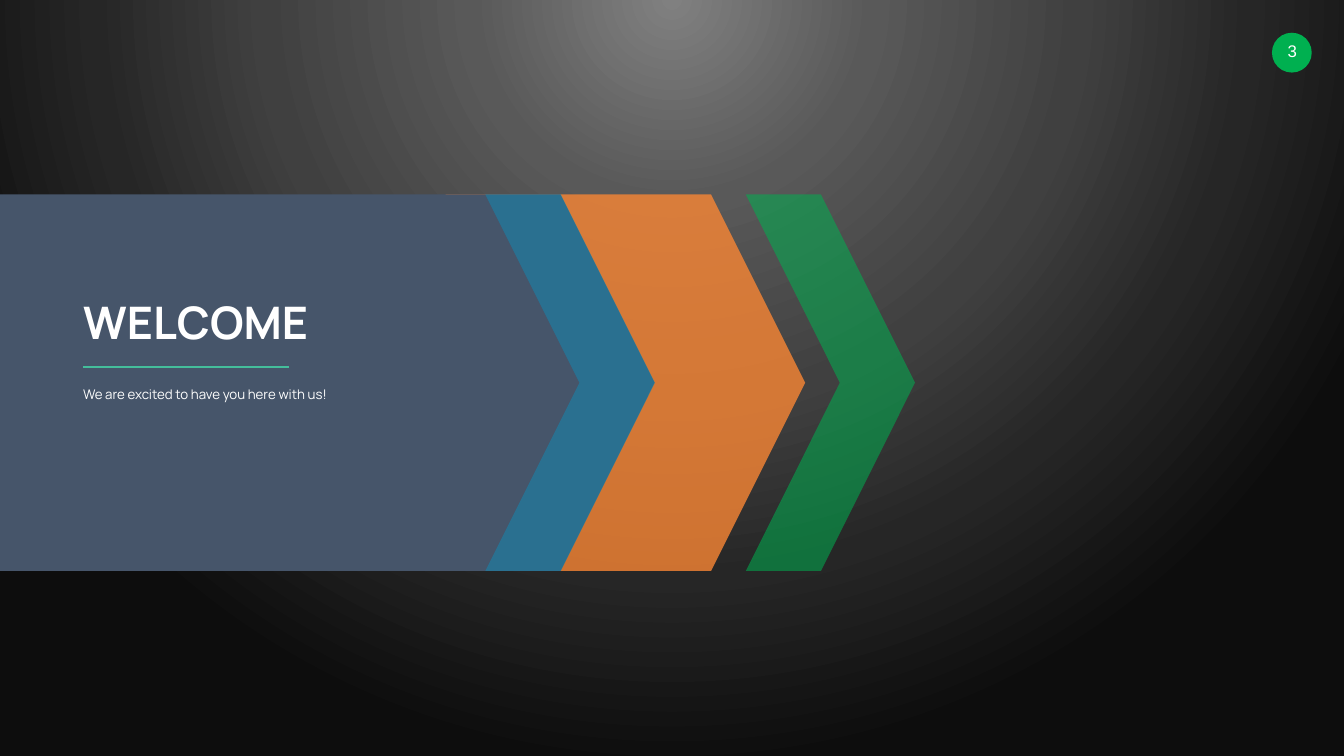
"""Build a welcome slide with layered chevrons on a dark radial background."""
from dataclasses import dataclass

from lxml.etree import SubElement
from pptx import Presentation
from pptx.dml.color import RGBColor
from pptx.enum.shapes import MSO_CONNECTOR as Connector, MSO_SHAPE as Preset
from pptx.enum.text import MSO_ANCHOR as Anchor, MSO_AUTO_SIZE as AutoSize, PP_ALIGN as Align
from pptx.oxml import parse_xml
from pptx.oxml.ns import nsdecls, qn
from pptx.shapes.base import BaseShape
from pptx.slide import Slide
from pptx.util import Inches, Pt

WIDTH, HEIGHT = Inches(26.67), Inches(15)


@dataclass(frozen=True)
class Theme:
    """Colours, fonts and type sizes of the slide."""
    white: str = "FFFFFF"
    green: str = "00B050"
    orange: str = "F98634"
    slate: str = "46556A"
    blue: str = "1487B1"
    rule: str = "44BE9B"
    background: tuple = ((0, "808080"), (26, "595959"), (53, "404040"), (75, "262626"), (100, "0D0D0D"))
    font: str = "Manrope"
    number_font: str = "Arial"
    title_size: int = 64
    body_size: int = 19
    number_size: int = 24


@dataclass(frozen=True)
class Box:
    """A rectangle in percent of the slide's width and height."""
    left: float
    top: float
    width: float
    height: float

    def emu(self) -> tuple[int, int, int, int]:
        """Return left, top, width and height as lengths."""
        return across(self.left), down(self.top), across(self.width), down(self.height)


@dataclass(frozen=True)
class Chevron:
    """An arrow band from its left edge to its shoulder, in percent of the width."""
    left: float
    shoulder: float
    color: str
    opacity: int = 100
    notched: bool = True


THEME = Theme()
BAND_TOP, BAND_MIDDLE, BAND_BOTTOM = 25.73, 50.63, 75.53
TIP = 7
TEXT_LEFT, TEXT_WIDTH = 6.19, 28.65
RULE_RIGHT, RULE_TOP = 21.48, 48.53
BADGE = Box(94.64, 4.33, 2.96, 5.27)
NUMBER = Box(95.35, 4.6, 1.61, 4.27)
TITLE = Box(TEXT_LEFT, 39.4, TEXT_WIDTH, 6.27)
MESSAGE = Box(TEXT_LEFT, 50, TEXT_WIDTH, 13.67)
BACK_CHEVRONS = (
    Chevron(55.49, 61.08, THEME.green, 55),
    Chevron(33.15, 52.91, THEME.orange, 80),
    Chevron(-0.41, 41.7, THEME.slate, notched=False),
)
FRONT_CHEVRON = Chevron(36.11, 41.73, THEME.blue, 55)


def across(percent: float) -> int:
    """Convert a share of the slide's width to a length."""
    return round(WIDTH * percent / 100)


def down(percent: float) -> int:
    """Convert a share of the slide's height to a length."""
    return round(HEIGHT * percent / 100)


def paint_background(slide: Slide) -> None:
    """Fill the background with a circular gradient centred near the top."""
    slide.background.fill.solid()
    properties = slide.element.find(".//" + qn("p:bgPr"))
    stops = "".join(
        f'<a:gs pos="{position * 1000}"><a:srgbClr val="{color}"/></a:gs>'
        for position, color in THEME.background
    )
    gradient = parse_xml(
        f'<a:gradFill {nsdecls("a")} rotWithShape="1"><a:gsLst>{stops}</a:gsLst><a:path path="circle">'
        '<a:fillToRect l="50000" t="-80000" r="50000" b="180000"/></a:path></a:gradFill>'
    )
    properties.replace(properties.find(qn("a:solidFill")), gradient)


def paint(shape: BaseShape, color: str, opacity: int = 100) -> None:
    """Give a shape a flat fill without line or shadow."""
    shape.shadow.inherit = False
    shape.line.fill.background()
    shape.fill.solid()
    shape.fill.fore_color.rgb = RGBColor.from_string(color)
    if opacity < 100:
        fill_color = shape.element.spPr.find(qn("a:solidFill")).find(qn("a:srgbClr"))
        SubElement(fill_color, qn("a:alpha")).set("val", str(opacity * 1000))


def draw_chevron(slide: Slide, chevron: Chevron) -> None:
    """Draw one arrow band, with a notch in its left edge if it has one."""
    points = [
        (chevron.left, BAND_TOP),
        (chevron.shoulder, BAND_TOP),
        (chevron.shoulder + TIP, BAND_MIDDLE),
        (chevron.shoulder, BAND_BOTTOM),
        (chevron.left, BAND_BOTTOM),
    ]
    if chevron.notched:
        points.append((chevron.left + TIP, BAND_MIDDLE))
    start, *others = [(across(x), down(y)) for x, y in points]
    builder = slide.shapes.build_freeform(*start)
    builder.add_line_segments(others, close=True)
    paint(builder.convert_to_shape(), chevron.color, chevron.opacity)


def write(shape: BaseShape, text: str, size: int, font: str, bold: bool = False, align: Align = Align.LEFT,
          anchor: Anchor = Anchor.MIDDLE, inset: float = 0, spacing: float = 1, wrap: bool = True) -> None:
    """Set and format the single paragraph of a shape."""
    frame = shape.text_frame
    frame.text = text
    frame.auto_size = AutoSize.NONE
    frame.word_wrap = wrap
    frame.vertical_anchor = anchor
    frame.margin_left = frame.margin_right = 0
    frame.margin_top = frame.margin_bottom = Inches(inset)
    paragraph = frame.paragraphs[0]
    paragraph.alignment = align
    paragraph.line_spacing = spacing
    paragraph.space_before = Pt(0)
    run_font = paragraph.runs[0].font
    run_font.name, run_font.size, run_font.bold = font, Pt(size), bold
    run_font.color.rgb = RGBColor.from_string(THEME.white)


def draw_badge(slide: Slide) -> None:
    """Draw the round page number."""
    badge = slide.shapes.add_shape(Preset.ROUNDED_RECTANGLE, *BADGE.emu())
    badge.adjustments[0] = 0.5
    paint(badge, THEME.green)
    number = slide.shapes.add_textbox(*NUMBER.emu())
    write(number, "3", THEME.number_size, THEME.number_font, align=Align.CENTER, wrap=False)


def draw_greeting(slide: Slide) -> None:
    """Place the title, the message and the rule between them."""
    title = slide.shapes.title
    title.left, title.top, title.width, title.height = TITLE.emu()
    title.element.getparent().append(title.element)
    write(title, "WELCOME", THEME.title_size, THEME.font, bold=True, inset=0.11)
    message = slide.shapes.add_textbox(*MESSAGE.emu())
    write(message, "We are excited to have you here with us!", THEME.body_size, THEME.font,
          anchor=Anchor.TOP, spacing=1.5)
    rule = slide.shapes.add_connector(
        Connector.STRAIGHT, across(RULE_RIGHT), down(RULE_TOP), across(TEXT_LEFT), down(RULE_TOP))
    rule.line.color.rgb = RGBColor.from_string(THEME.rule)
    rule.line.width = Pt(2)
    SubElement(rule.element.spPr, qn("a:effectLst"))


def main() -> None:
    """Build and save the presentation."""
    presentation = Presentation()
    presentation.slide_width, presentation.slide_height = WIDTH, HEIGHT
    slide = presentation.slides.add_slide(presentation.slide_layouts.get_by_name("Title Only"))
    paint_background(slide)
    draw_badge(slide)
    for chevron in BACK_CHEVRONS:
        draw_chevron(slide, chevron)
    draw_greeting(slide)
    draw_chevron(slide, FRONT_CHEVRON)
    presentation.save("out.pptx")


if __name__ == "__main__":
    main()
